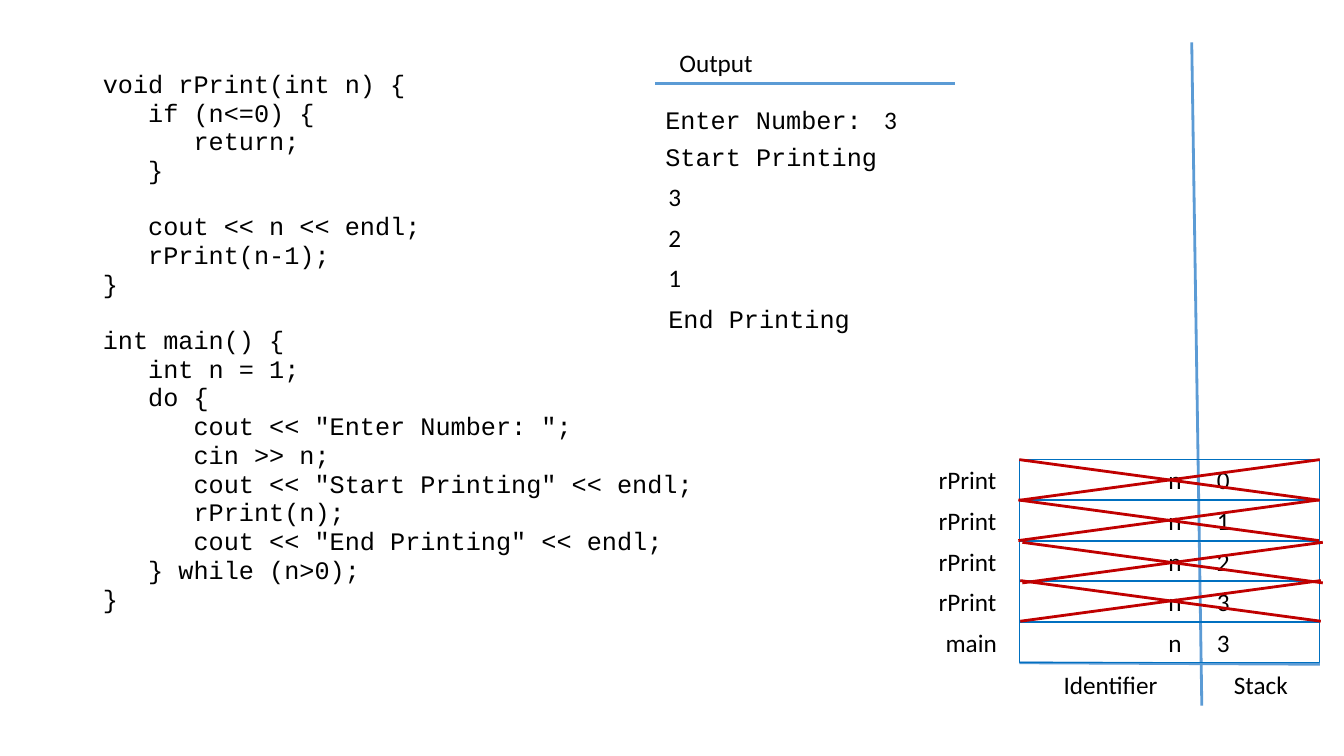
"""Build a slide tracing a recursive print function, its output and its call stack."""
from lxml import etree
from pptx import Presentation
from pptx.dml.color import RGBColor
from pptx.enum.shapes import MSO_CONNECTOR, MSO_SHAPE
from pptx.enum.text import MSO_ANCHOR, MSO_AUTO_SIZE
from pptx.oxml.ns import qn
from pptx.util import Inches, Pt

STRAIGHT = MSO_CONNECTOR.STRAIGHT
RECTANGLE = MSO_SHAPE.RECTANGLE
TOP = MSO_ANCHOR.TOP
FIXED, GROW = MSO_AUTO_SIZE.NONE, MSO_AUTO_SIZE.SHAPE_TO_FIT_TEXT
COLORS = {"text": "000000", "axis": "5B9BD5", "frame": "0070C0", "popped": "C00000"}
BODY_FONT, CODE_FONT = "Calibri", "Courier New"
INDENT = 0.45
LINE_GAP, BLANK_LINE = 1.1, 20.6
ROW = 0.4
PITCH = 0.403
STACK_LEFT, STACK_TOP, STACK_WIDTH = 10.11, 4.56, 2.98
OUTPUT_LEFT = 6.5

prs = Presentation()
prs.slide_width, prs.slide_height = Inches(13.33), Inches(7.5)
slide = prs.slides.add_slide(prs.slide_layouts[1])
title = slide.shapes.title
title.element.getparent().remove(title.element)


def add_label(text, left, top, width, font=BODY_FONT):
    label = slide.shapes.add_textbox(Inches(left), Inches(top), Inches(width), Inches(ROW))
    label.text_frame.word_wrap = False
    label.text_frame.auto_size = GROW
    run = label.text_frame.paragraphs[0].add_run()
    run.text = text
    run.font.size = Pt(18)
    run.font.name = font
    run.font.color.rgb = RGBColor.from_string(COLORS["text"])


def add_line(x1, y1, x2, y2, color):
    line = slide.shapes.add_connector(STRAIGHT, Inches(x1), Inches(y1), Inches(x2), Inches(y2))
    line.line.color.rgb = RGBColor.from_string(COLORS[color])
    line.line.width = Pt(2)
    etree.SubElement(line._element.spPr, qn("a:effectLst"))


functions = [
    [
        (0, "void rPrint(int n) {"),
        (1, "if (n<=0) {"),
        (2, "return;"),
        (1, "}"),
    ],
    [
        (1, "cout << n << endl;"),
        (1, "rPrint(n-1);"),
        (0, "}"),
    ],
    [
        (0, "int main() {"),
        (1, "int n = 1;"),
        (1, "do {"),
        (2, 'cout << "Enter Number: ";'),
        (2, "cin >> n;"),
        (2, 'cout << "Start Printing" << endl;'),
        (2, "rPrint(n);"),
        (2, 'cout << "End Printing" << endl;'),
        (1, "} while (n>0);"),
        (0, "}"),
    ],
]
code = slide.placeholders[1]
code.left, code.top, code.width, code.height = map(Inches, (0.92, 0.66, 6.08, 6.09))
code_frame = code.text_frame
code_frame.word_wrap = True
code_frame.auto_size = FIXED
code_frame.vertical_anchor = TOP
for block_number, block in enumerate(functions):
    for line_number, (depth, statement) in enumerate(block):
        first = block_number == line_number == 0
        paragraph = code_frame.paragraphs[0] if first else code_frame.add_paragraph()
        starts_block = block_number > 0 and line_number == 0
        paragraph.line_spacing = 0.9
        paragraph.space_before = Pt(BLANK_LINE if starts_block else 0 if first else LINE_GAP)
        properties = paragraph._p.get_or_add_pPr()
        properties.set("marL", str(Inches(depth * INDENT)))
        properties.set("indent", "0")
        etree.SubElement(properties, qn("a:buNone"))
        run = paragraph.add_run()
        run.text = statement
        run.font.size = Pt(18)
        run.font.name = CODE_FONT
        run.font.color.rgb = RGBColor.from_string(COLORS["text"])

add_label("Output", 6.64, 0.42, 0.94)
add_line(OUTPUT_LEFT, 0.83, 9.47, 0.83, "axis")
add_label("Enter Number:", OUTPUT_LEFT, 0.99, 2.16, CODE_FONT)
add_label("3", 8.67, 0.99, 0.33)
add_label("Start Printing", OUTPUT_LEFT, 1.35, 2.31, CODE_FONT)
printed = [("3", 0.33, BODY_FONT), ("2", 0.33, BODY_FONT), ("1", 0.33, BODY_FONT),
           ("End Printing", 2.01, CODE_FONT)]
for row, (text, width, font) in enumerate(printed):
    add_label(text, OUTPUT_LEFT + 0.03, 1.75 + row * PITCH, width, font)

stack_bottom = STACK_TOP + 5 * PITCH
add_line(11.82, 0.42, 11.92, 7, "axis")
add_line(STACK_LEFT, stack_bottom, STACK_LEFT + STACK_WIDTH, 6.59, "axis")
add_label("Identifier", 10.45, 6.59, 1.15)
add_label("Stack", 12.14, 6.59, 0.74)

calls = [("rPrint", "0"), ("rPrint", "1"), ("rPrint", "2"), ("rPrint", "3"), ("main", "3")]
for row, (caller, value) in enumerate(calls):
    top = STACK_TOP + row * PITCH
    add_label(caller, 9.28 if caller == "main" else 9.21, top, 0.78)
    add_label("n", 11.49, top, 0.34)
    add_label(value, 11.97, top, 0.34)
    frame = slide.shapes.add_shape(
        RECTANGLE, Inches(STACK_LEFT), Inches(top), Inches(STACK_WIDTH), Inches(ROW))
    frame.shadow.inherit = False
    frame.fill.background()
    frame.line.color.rgb = RGBColor.from_string(COLORS["frame"])
    frame.line.width = Pt(1)

cross_corners = [(10.11, 4.56), (10.1, 4.96), (10.14, 5.38), (10.12, 5.76)]
for left, top in cross_corners:
    right, bottom = left + STACK_WIDTH, top + PITCH
    add_line(left, top, right, bottom, "popped")
    add_line(left, bottom, right, top, "popped")

prs.save("out.pptx")
